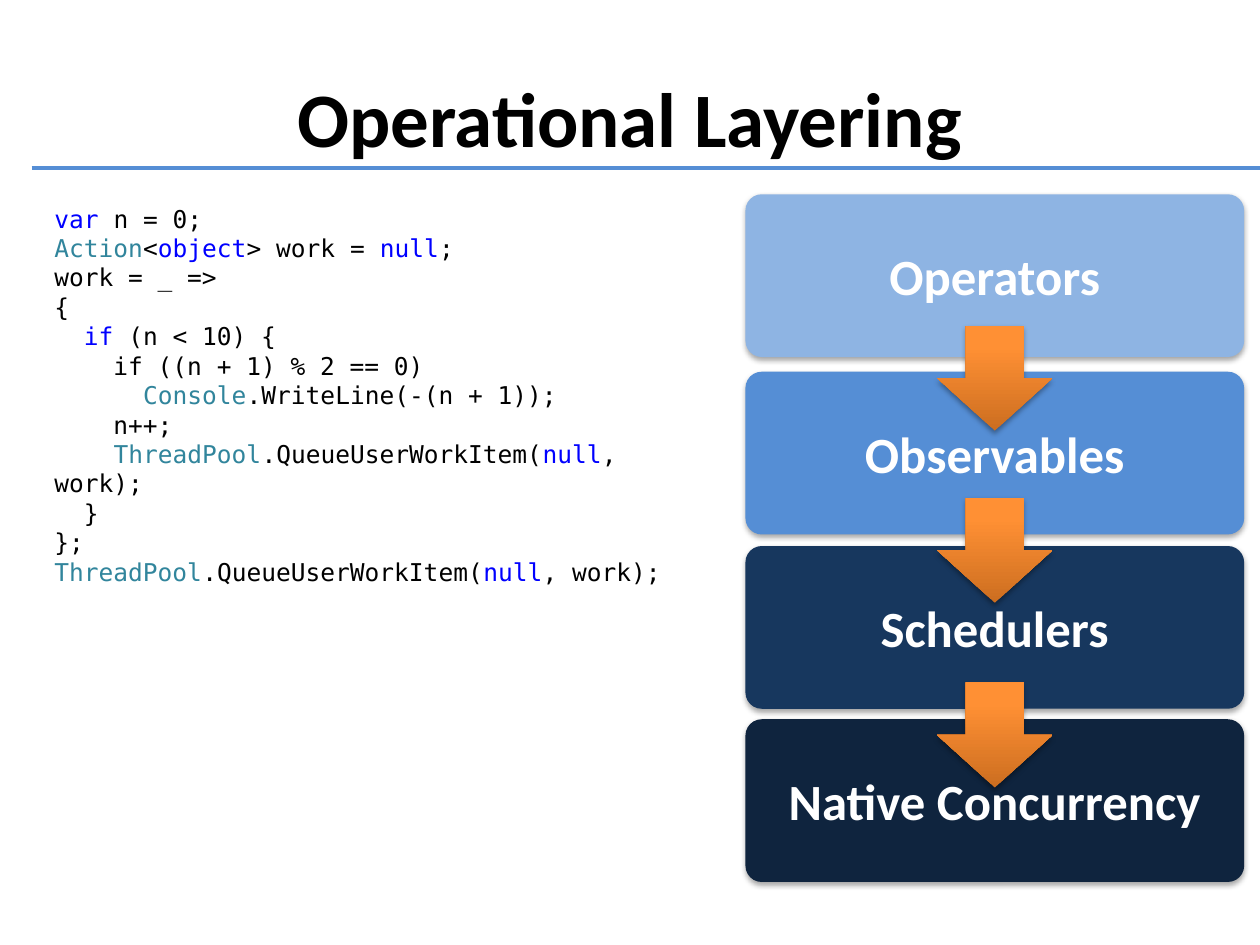
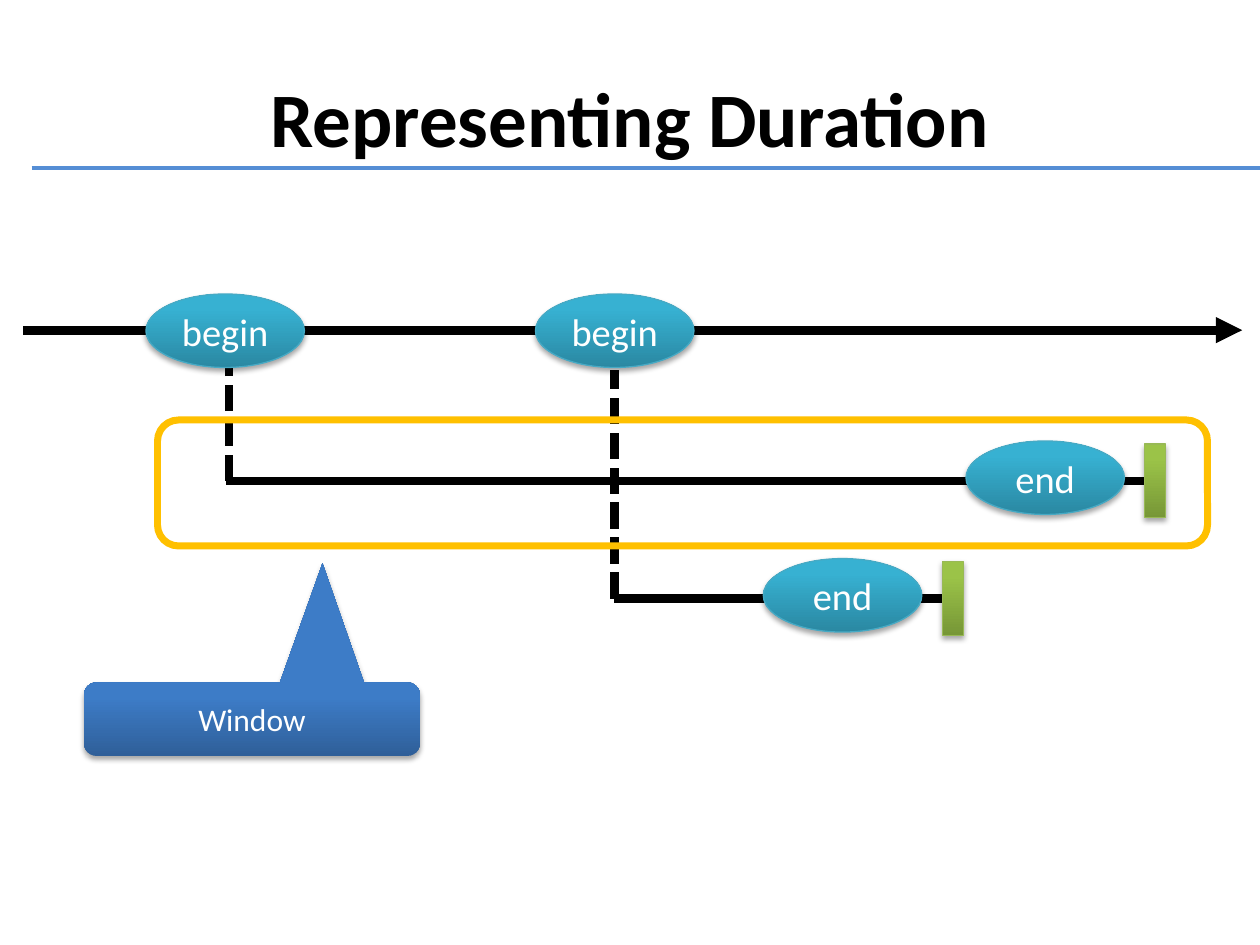
from lxml import etree
from pptx import Presentation
from pptx.dml.color import RGBColor
from pptx.enum.dml import MSO_LINE
from pptx.enum.shapes import MSO_CONNECTOR, MSO_SHAPE
from pptx.enum.text import MSO_ANCHOR, PP_ALIGN
from pptx.oxml.ns import qn
from pptx.util import Inches, Pt

STRAIGHT = MSO_CONNECTOR.STRAIGHT
DASHED = MSO_LINE.SQUARE_DOT
ROUNDED = MSO_SHAPE.ROUNDED_RECTANGLE
ELLIPSE = MSO_SHAPE.OVAL
RECTANGLE = MSO_SHAPE.RECTANGLE
DOWN_ARROW = MSO_SHAPE.DOWN_ARROW
CALLOUT = MSO_SHAPE.ROUNDED_RECTANGULAR_CALLOUT
MIDDLE = MSO_ANCHOR.MIDDLE
CENTER = PP_ALIGN.CENTER

COLUMNS, ROWS = 120, 90
CELL = Inches(10) / COLUMNS

BODY_FONT, CODE_FONT = "Calibri", "DejaVu Sans Mono"
BLACK, WHITE, BLUE, YELLOW = "000000", "FFFFFF", "558ED5", "FFC000"
ORANGE_FADE = ("CC6E20", "FF9034")
TEAL_FADE, TEAL_EDGE = ("2A88A2", "37B1D2"), "46AAC5"
GREEN_FADE, GREEN_EDGE = ("779737", "9BC348"), "98B955"
BLUE_FADE = ("2F5F99", "3D7CC7")

KEYWORD, TYPE_NAME = "0000FF", "31859C"
CODE_COLOURS = {
    "var": KEYWORD, "object": KEYWORD, "null": KEYWORD, "if": KEYWORD,
    "Action": TYPE_NAME, "Console": TYPE_NAME, "ThreadPool": TYPE_NAME,
}
CODE = """|var| n = 0;
|Action|<|object|> work = |null|;
work = _ =>
{
  |if| (n < 10) {
    if ((n + 1) % 2 == 0)
      |Console|.WriteLine(-(n + 1));
    n++;
    |ThreadPool|.QueueUserWorkItem(|null|, work);
  }
};
|ThreadPool|.QueueUserWorkItem(|null|, work);"""

LAYERS = [
    ("Operators", 18.5, "8EB4E3"),
    ("Observables", 35.4, BLUE),
    ("Schedulers", 52, "17375E"),
    ("Native Concurrency", 68.5, "0F243E"),
]
LAYER_LEFT, LAYER_WIDTH, LAYER_HEIGHT = 71, 47.5, 15.5
ARROW_TOPS = (31, 47.4, 65)
ARROW_WIDTH, ARROW_HEIGHT = 11, 10

EVENT_WIDTH, EVENT_HEIGHT, STOP_WIDTH = 15.1, 7, 2
TIMELINE_ROW = 31.45


def colour(hex_string):
    """Turn a hex string into a colour."""
    return RGBColor.from_string(hex_string)


def cells(*lengths):
    """Turn grid units into slide lengths."""
    return [round(length * CELL) for length in lengths]


def format_font(font, size, hex_string, name=BODY_FONT, bold=False):
    """Set the look of one font."""
    font.name, font.size, font.bold = name, Pt(size), bold
    font.color.rgb = colour(hex_string)


def write_centred(shape, text, size, hex_string, bold=False):
    """Put one centred line of text into a shape."""
    frame = shape.text_frame
    frame.text, frame.word_wrap, frame.vertical_anchor = text, True, MIDDLE
    paragraph = frame.paragraphs[0]
    paragraph.alignment = CENTER
    format_font(paragraph.runs[0].font, size, hex_string, bold=bold)


def add_soft_shadow(shape):
    """Give a shape a soft shadow straight below it."""
    shape.shadow.inherit = False
    effects = shape.element.spPr.find(qn("a:effectLst"))
    shadow = etree.SubElement(
        effects, qn("a:outerShdw"), blurRad=str(Pt(3.1)), dist=str(Pt(1.8)),
        dir="5400000", rotWithShape="0")
    tone = etree.SubElement(shadow, qn("a:srgbClr"), val=BLACK)
    etree.SubElement(tone, qn("a:alpha"), val="35000")


def paint(shape, fill):
    """Fill a shape with a colour, or with a bottom-to-top pair of colours."""
    if isinstance(fill, str):
        shape.fill.solid()
        shape.fill.fore_color.rgb = colour(fill)
        return
    shape.fill.gradient()
    shape.fill.gradient_angle = 90
    for stop, position, tone in zip(shape.fill.gradient_stops, (0, 0.8), fill):
        stop.position, stop.color.rgb = position, colour(tone)


def add_block(slide, kind, box, fill, edge=None):
    """Add a filled, shadowed shape at a grid box."""
    shape = slide.shapes.add_shape(kind, *cells(*box))
    paint(shape, fill)
    if edge:
        shape.line.color.rgb, shape.line.width = colour(edge), Pt(0.75)
    else:
        shape.line.fill.background()
    add_soft_shadow(shape)
    return shape


def add_line(slide, start, end, hex_string=BLACK, width=5, dashed=False, arrow=False):
    """Add a straight line between two grid points."""
    connector = slide.shapes.add_connector(STRAIGHT, *cells(*start, *end))
    connector.line.color.rgb, connector.line.width = colour(hex_string), Pt(width)
    if dashed:
        connector.line.dash_style = DASHED
    properties = connector.element.spPr
    if arrow:
        etree.SubElement(properties.find(qn("a:ln")), qn("a:tailEnd"), type="triangle")
    etree.SubElement(properties, qn("a:effectLst"))


def add_title(slide, text):
    """Add the slide title and the rule under it."""
    title = slide.shapes.add_textbox(*cells(6, 3.6, 108, 15))
    write_centred(title, text, 44, BLACK, bold=True)
    add_line(slide, (3, 16), (COLUMNS, 16), BLUE, 2)


def add_code(slide, box, code):
    """Add a code listing whose marked words are coloured."""
    frame = slide.shapes.add_textbox(*cells(*box)).text_frame
    frame.word_wrap = True
    for index, line in enumerate(code.split("\n")):
        paragraph = frame.add_paragraph() if index else frame.paragraphs[0]
        for piece in filter(None, line.split("|")):
            run = paragraph.add_run()
            run.text = piece
            format_font(run.font, 14, CODE_COLOURS.get(piece, BLACK), CODE_FONT)


def add_event(slide, left, top, text):
    """Add an event ellipse of the timeline."""
    box = (left, top, EVENT_WIDTH, EVENT_HEIGHT)
    write_centred(add_block(slide, ELLIPSE, box, TEAL_FADE, TEAL_EDGE), text, 22, WHITE)


def add_duration(slide, start, end, row, event_left):
    """Add a duration line with its stop bar and end event."""
    add_line(slide, (start, row), (end, row))
    box = (end - STOP_WIDTH / 2, row - EVENT_HEIGHT / 2, STOP_WIDTH, EVENT_HEIGHT)
    add_block(slide, RECTANGLE, box, GREEN_FADE, GREEN_EDGE)
    add_event(slide, event_left, row - 3.8, "end")


def build_layering(slide):
    """Build the slide on operational layers."""
    add_title(slide, "Operational Layering")
    for name, top, fill in LAYERS:
        layer = add_block(slide, ROUNDED, (LAYER_LEFT, top, LAYER_WIDTH, LAYER_HEIGHT), fill)
        layer.adjustments[0] = 0.1
        write_centred(layer, name, 29, WHITE, bold=True)
    arrow_left = LAYER_LEFT + (LAYER_WIDTH - ARROW_WIDTH) / 2
    for top in ARROW_TOPS:
        add_block(slide, DOWN_ARROW, (arrow_left, top, ARROW_WIDTH, ARROW_HEIGHT), ORANGE_FADE)
    add_code(slide, (4, 18.8, 61.1, 35.2), CODE)


def build_duration(slide):
    """Build the slide on durations along a timeline."""
    add_line(slide, (21.8, 45.8), (21.8, TIMELINE_ROW), dashed=True)
    add_title(slide, "Representing Duration")
    add_line(slide, (2.2, TIMELINE_ROW), (118.3, TIMELINE_ROW), arrow=True)
    for left in (13.9, 51):
        add_event(slide, left, 28, "begin")
    add_duration(slide, 21.5, 110, 45.8, 92)
    add_duration(slide, 58.5, 90.75, 57, 72.7)
    add_line(slide, (58.5, 57), (58.5, 35.2), dashed=True)
    window = slide.shapes.add_shape(ROUNDED, *cells(15, 40, 100, 12))
    window.shadow.inherit = False
    window.fill.background()
    window.line.color.rgb, window.line.width = colour(YELLOW), Pt(4)
    callout = add_block(slide, CALLOUT, (8, 65, 32, 7), BLUE_FADE)
    for index, value in enumerate((0.21, -2.12, 0.17)):
        callout.adjustments[index] = value
    write_centred(callout, "Window", 18, WHITE)


def main():
    """Build and save the presentation."""
    presentation = Presentation()
    presentation.slide_width, presentation.slide_height = cells(COLUMNS, ROWS)
    blank = presentation.slide_layouts[6]
    for build in (build_layering, build_duration):
        build(presentation.slides.add_slide(blank))
    presentation.save("out.pptx")


if __name__ == "__main__":
    main()
